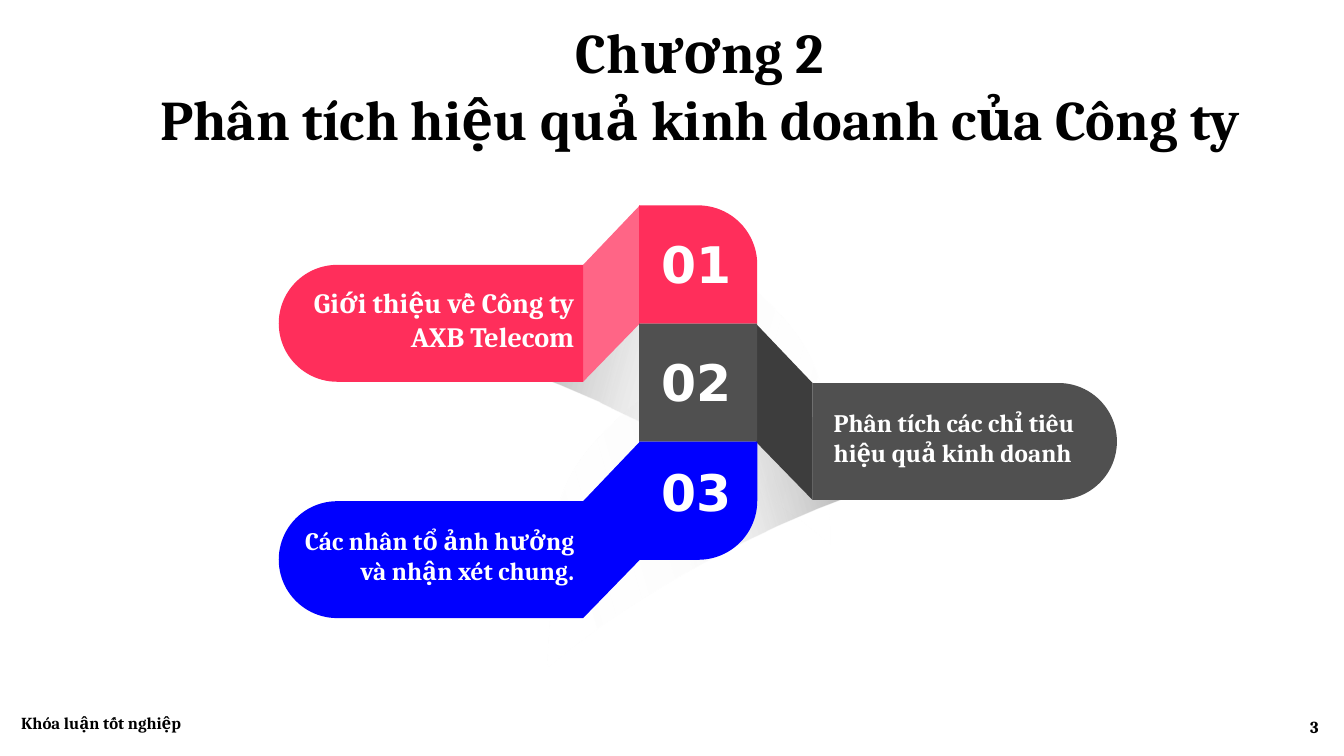
from lxml import etree
from pptx import Presentation
from pptx.dml.color import RGBColor
from pptx.enum.shapes import MSO_SHAPE
from pptx.enum.text import MSO_ANCHOR, PP_ALIGN
from pptx.oxml import parse_xml
from pptx.oxml.ns import nsdecls, qn
from pptx.util import Pt

RECT = MSO_SHAPE.RECTANGLE
ROUND_ONE = MSO_SHAPE.ROUND_1_RECTANGLE
ROUND_TWO = MSO_SHAPE.ROUND_2_SAME_RECTANGLE
TOP, MIDDLE = MSO_ANCHOR.TOP, MSO_ANCHOR.MIDDLE
LEFT, CENTER, RIGHT = PP_ALIGN.LEFT, PP_ALIGN.CENTER, PP_ALIGN.RIGHT

BLACK = RGBColor(0x00, 0x00, 0x00)
WHITE = RGBColor(0xFF, 0xFF, 0xFF)
RED = RGBColor(0xFF, 0x2E, 0x5B)
PINK = RGBColor(0xFF, 0x65, 0x86)
GREY = RGBColor(0x50, 0x50, 0x50)
DARK = RGBColor(0x3D, 0x3D, 0x3D)
BLUE = RGBColor(0x00, 0x00, 0xFF)

SERIF, SANS = "Cambria", "DejaVu Sans"
BLOCK = 84.4
FOLD_W, FOLD_DROP = 40.5, 42.5
TAB_W, TAB_H = 217.4, 83.5

# number, label, label size, fill, fold fill, side, block shape, turn, number offset
SECTIONS = [
    ("01", "Giới thiệu về Công ty AXB Telecom", 20, RED, PINK, -1, ROUND_ONE, 0, 16),
    ("02", "Phân tích các chỉ tiêu hiệu quả kinh doanh", 18, GREY, DARK, 1, RECT, 0, 16),
    ("03", "Các nhân tổ ảnh hưởng và nhận xét chung.", 18, BLUE, BLUE, -1, ROUND_ONE, 90, 10.5),
]

# Shadow outline around its centre: start, then Bézier segments (control, control, end)
SHADOW_START = (-168, -12)
SHADOW_CURVES = [
    [(-42, 3), (80.5, 53.5), (159, 107)],
    [(153, 69), (146, 31), (139.5, -7)],
    [(130.5, -30), (111, -56), (57.5, -86)],
    [(-11.5, -65), (-46, -51), (-168, -12)],
]


def add_text(slide, box, lines, size, align=LEFT, anchor=MIDDLE,
             font=SERIF, color=BLACK, wrap=True):
    tf = slide.shapes.add_textbox(*(Pt(v) for v in box)).text_frame
    tf.word_wrap = wrap
    tf.vertical_anchor = anchor
    p = tf.paragraphs[0]
    p.alignment = align
    for i, line in enumerate(lines):
        if i:
            p.add_line_break()
        r = p.add_run()
        r.text = line
        r.font.name = font
        r.font.size = Pt(size)
        r.font.bold = True
        r.font.color.rgb = color


def paint(sp, color):
    sp.shadow.inherit = False
    sp.fill.solid()
    sp.fill.fore_color.rgb = color
    sp.line.fill.background()


def add_polygon(slide, points):
    fb = slide.shapes.build_freeform(Pt(points[0][0]), Pt(points[0][1]), scale=1.0)
    fb.add_line_segments([(Pt(x), Pt(y)) for x, y in points[1:]], close=True)
    return fb.convert_to_shape()


def bezier(a, b, c, d, steps=12):
    for i in range(1, steps + 1):
        t = i / steps
        u = 1 - t
        yield tuple(u**3 * a[k] + 3 * u * u * t * b[k] + 3 * u * t * t * c[k] + t**3 * d[k]
                    for k in (0, 1))


def add_shadow(slide, cx, cy, side):
    """Soft shadow, darkest on the given side (-1 left, 1 right)."""
    outline = [SHADOW_START]
    for curve in SHADOW_CURVES:
        outline.extend(bezier(outline[-1], *curve))
    sp = add_polygon(slide, [(cx - side * x, cy + y) for x, y in outline])
    paint(sp, BLACK)
    sp.rotation = -5.8 * side
    angle = 10 if side < 0 else 170
    grad = parse_xml(f'<a:gradFill {nsdecls("a")} rotWithShape="1"><a:gsLst/>'
                     f'<a:lin ang="{angle * 60000}" scaled="0"/></a:gradFill>')
    for pos, color, alpha in ((0, "000000", 100), (66, "E9E9E9", 10), (100, "FFFFFF", 0)):
        gs = etree.SubElement(grad[0], qn("a:gs"), pos=str(pos * 1000))
        clr = etree.SubElement(gs, qn("a:srgbClr"), val=color)
        etree.SubElement(clr, qn("a:alpha"), val=str(alpha * 1000))
    solid = sp._element.spPr.find(qn("a:solidFill"))
    solid.getparent().replace(solid, grad)


def add_tab(slide, left, top, side, color):
    """Tab with its outer end rounded."""
    dx = (TAB_W - TAB_H) / 2
    sp = slide.shapes.add_shape(ROUND_TWO, Pt(left + dx), Pt(top - dx), Pt(TAB_H), Pt(TAB_W))
    sp.adjustments[0] = 0.5
    sp.adjustments[1] = 0
    sp.rotation = 90 * side
    paint(sp, color)


def add_section(slide, left, top, section):
    """Numbered block at left, top with its fold and labelled tab."""
    number, label, size, color, fold, side, shape, turn, offset = section
    edge = left + 0.5 if side < 0 else left + BLOCK - 1
    tab_edge = edge + side * FOLD_W
    tab_left = tab_edge - TAB_W if side < 0 else tab_edge
    tab_top = top + FOLD_DROP
    paint(add_polygon(slide, [(edge, top), (tab_edge, tab_top),
                              (tab_edge, tab_top + TAB_H), (edge, top + BLOCK)]), fold)
    add_tab(slide, tab_left, tab_top, side, color)
    sp = slide.shapes.add_shape(shape, Pt(left), Pt(top), Pt(BLOCK), Pt(BLOCK))
    if shape == ROUND_ONE:
        sp.adjustments[0] = 0.5
    sp.rotation = turn
    paint(sp, color)
    add_text(slide, (left + 8.6, top + offset, 66.2, 51), [number], 36,
             anchor=TOP, font=SANS, color=WHITE, wrap=False)
    add_text(slide, (tab_left + 8, tab_top - 3, 210.2, TAB_H), [label], size,
             align=RIGHT if side < 0 else LEFT, color=WHITE)


def add_diagram(slide, left, top):
    add_shadow(slide, left + 82.8, top + 207, 1)
    add_shadow(slide, left - 11.5, top + 119, -1)
    for i, section in enumerate(SECTIONS):
        add_section(slide, left, top + i * BLOCK, section)


def add_footer(slide, left, top, width):
    add_text(slide, (left, top, 216, 28.8), ["Khóa luận tốt nghiệp"], 12)
    add_text(slide, (left + width - 216, top + 3, 216, 28.8), ["3"], 12, align=RIGHT)


def main():
    prs = Presentation()
    prs.slide_width, prs.slide_height = Pt(960), Pt(540)
    slide = prs.slides.add_slide(prs.slide_layouts[6])
    add_diagram(slide, 456.5, 146.7)
    add_text(slide, (101.5, 8, 797, 104.4),
             ["Chương 2", "Phân tích hiệu quả kinh doanh của Công ty"], 40,
             align=CENTER, wrap=False)
    add_footer(slide, 8, 501.8, 941)
    prs.save("out.pptx")


if __name__ == "__main__":
    main()
